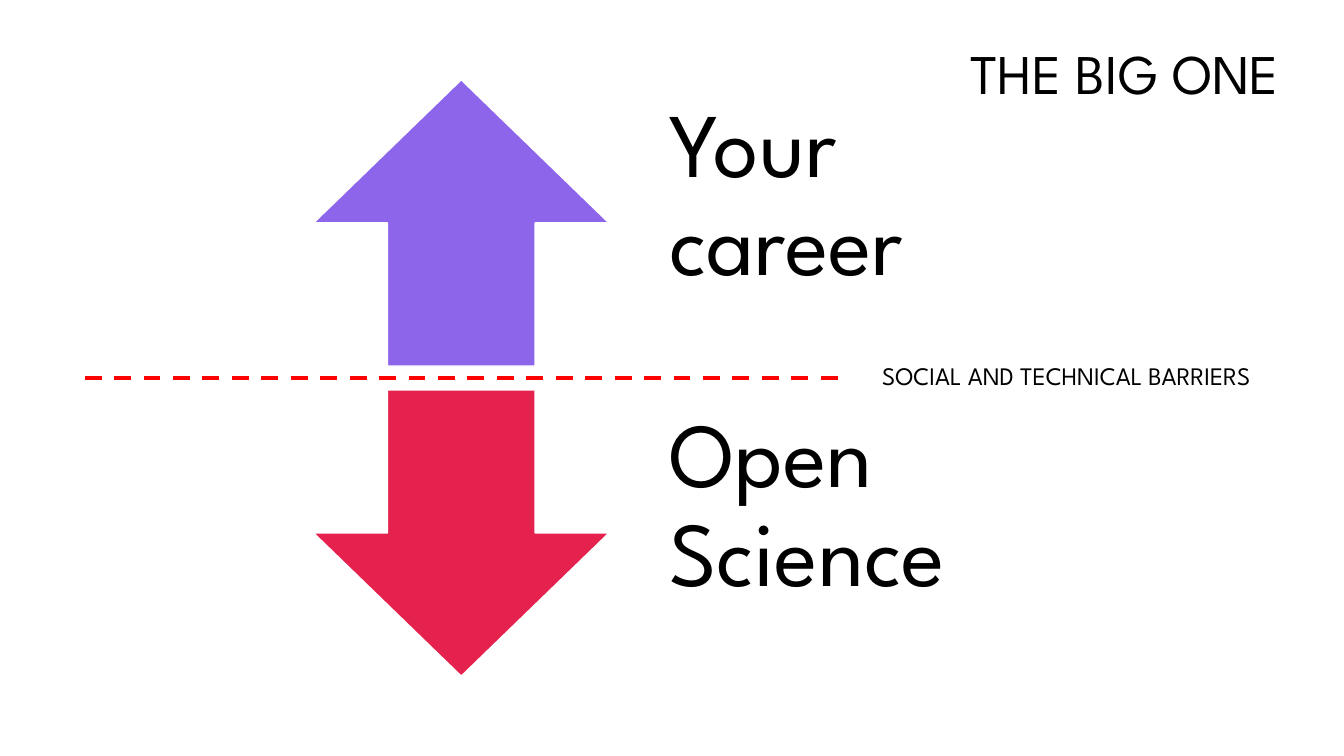
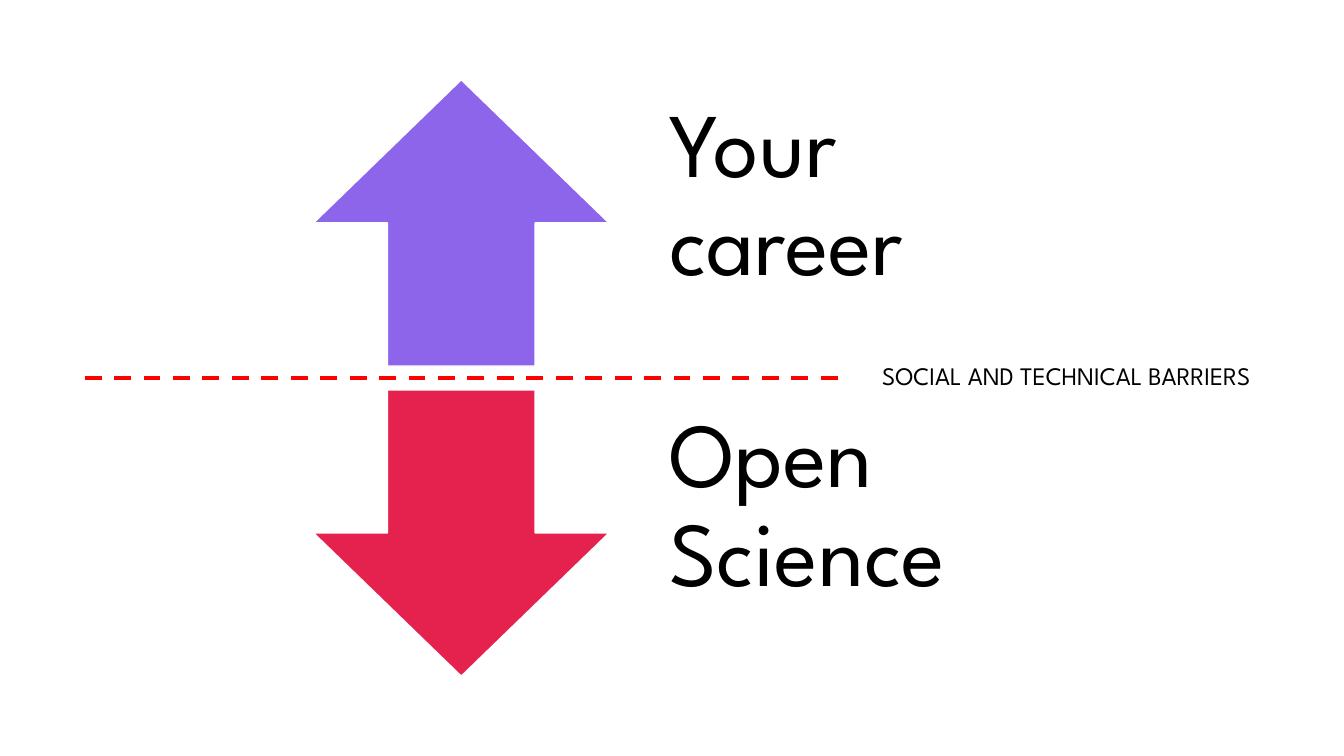
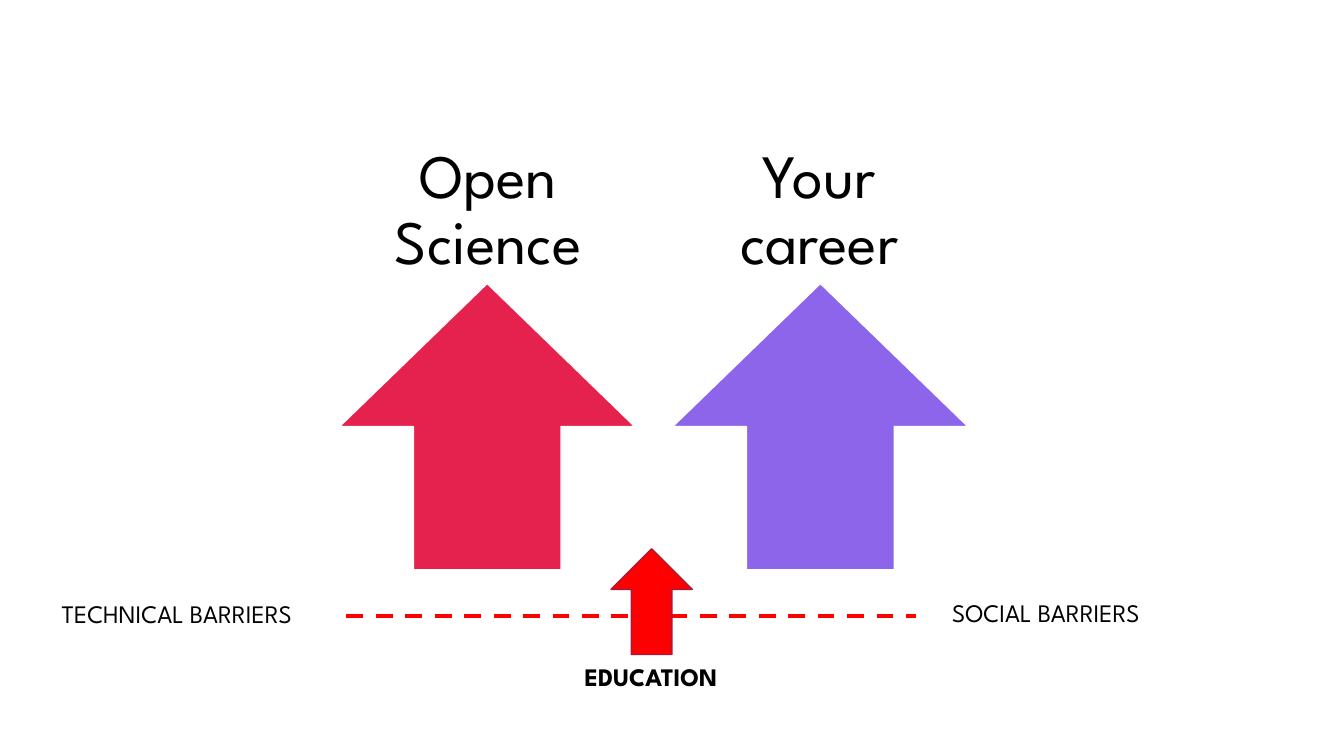
from pptx import Presentation
from pptx.dml.color import RGBColor
from pptx.enum.dml import MSO_LINE
from pptx.enum.shapes import MSO_CONNECTOR, MSO_SHAPE
from pptx.enum.text import MSO_ANCHOR, MSO_AUTO_SIZE, PP_ALIGN
from pptx.oxml.ns import qn
from pptx.util import Pt

UP, DOWN = MSO_SHAPE.UP_ARROW, MSO_SHAPE.DOWN_ARROW
STRAIGHT = MSO_CONNECTOR.STRAIGHT
DASH = MSO_LINE.DASH
LEFT, CENTER, RIGHT = PP_ALIGN.LEFT, PP_ALIGN.CENTER, PP_ALIGN.RIGHT
TOP, MIDDLE = MSO_ANCHOR.TOP, MSO_ANCHOR.MIDDLE
NO_AUTOFIT = MSO_AUTO_SIZE.NONE

# Shared style, lengths in points
FONT = "League Spartan"
BLACK = RGBColor(0x00, 0x00, 0x00)
WHITE = RGBColor(0xFF, 0xFF, 0xFF)
PURPLE = RGBColor(0x8D, 0x65, 0xEA)
CRIMSON = RGBColor(0xE5, 0x22, 0x4E)
DARK_CRIMSON = RGBColor(0xA9, 0x19, 0x3A)
RED = RGBColor(0xFF, 0x00, 0x00)
SLIDE_W, SLIDE_H = 960, 540
ARROW_W, ARROW_H = 211, 204.5
TITLE_ONLY, BLANK = 5, 6


def write(frame, text, size, align=LEFT, spacing=0.9, bold=False):
    frame.text = text
    frame.word_wrap = True
    frame.auto_size = NO_AUTOFIT
    paragraph = frame.paragraphs[0]
    paragraph.alignment = align
    paragraph.line_spacing = spacing
    font = paragraph.runs[0].font
    font.name, font.size, font.bold = FONT, Pt(size), bold
    font.color.rgb = BLACK


def add_title(slide, text):
    title = slide.shapes.title
    title.left, title.top = Pt(242.5), Pt(3.5)
    title.width, title.height = Pt(678.5), Pt(101.5)
    title.text_frame.vertical_anchor = MIDDLE
    write(title.text_frame, text, 40, RIGHT)


def add_arrow(slide, direction, left, top, fill,
              width=ARROW_W, height=ARROW_H, outline=WHITE):
    arrow = slide.shapes.add_shape(
        direction, Pt(left), Pt(top), Pt(width), Pt(height))
    arrow.shadow.inherit = False
    arrow.fill.solid()
    arrow.fill.fore_color.rgb = fill
    arrow.line.color.rgb = outline
    arrow.line.width = Pt(1)


def add_arrow_name(slide, text, left, top, width, size, inset, align=LEFT):
    """Large text beside or above an arrow, as tall as the arrow."""
    box = slide.shapes.add_textbox(Pt(left), Pt(top), Pt(width), Pt(ARROW_H))
    frame = box.text_frame
    frame.margin_left = frame.margin_right = frame.margin_bottom = Pt(inset)
    frame.margin_top = 0
    frame.vertical_anchor = MIDDLE
    write(frame, text, size, align)


def add_label(slide, text, left, top, width, spacing=0.9, bold=False):
    box = slide.shapes.add_textbox(Pt(left), Pt(top), Pt(width), Pt(26.5))
    box.text_frame.vertical_anchor = TOP
    write(box.text_frame, text, 18, LEFT, spacing, bold)


def add_barrier(slide, start, end, y):
    barrier = slide.shapes.add_connector(
        STRAIGHT, Pt(start), Pt(y), Pt(end), Pt(y))
    barrier.line.color.rgb = RED
    barrier.line.width = Pt(3)
    barrier.line.dash_style = DASH
    properties = barrier.element.spPr
    properties.append(properties.makeelement(qn("a:effectLst"), {}))


def build_opposed(slide):
    """Career and open science pulling apart across the barrier."""
    middle, gap = SLIDE_H / 2, 8.5
    rows = [
        ("Your career", UP, PURPLE, middle - gap - ARROW_H),
        ("Open Science", DOWN, CRIMSON, middle + gap),
    ]
    for name, direction, fill, top in rows:
        add_arrow(slide, direction, 224, top, fill)
        add_arrow_name(slide, name, 441.5, top, 358.5, 65, 36.5)
    add_barrier(slide, 60.5, 607, middle)
    add_label(slide, "SOCIAL AND TECHNICAL BARRIERS", 623, 256.5, 314.5)


def build_aligned(slide):
    """Both arrows rising, with education breaking through the barrier."""
    columns = [
        ("Your career", PURPLE, 480.5, 484.5, 201.5),
        ("Open Science", CRIMSON, 242.5, 236, 225.5),
    ]
    for name, fill, arrow_left, name_left, name_width in columns:
        add_arrow(slide, UP, arrow_left, 202.5, fill)
        add_arrow_name(slide, name, name_left, 61, name_width, 44, 24.5, CENTER)
    add_barrier(slide, 247.5, 654.5, 440)
    add_label(slide, "SOCIAL BARRIERS", 673, 425.5, 165)
    add_label(slide, "EDUCATION", 410.5, 468.5, 117.5, spacing=1.0, bold=True)
    add_arrow(slide, UP, 436.5, 392, RED, 58, 75.5, DARK_CRIMSON)
    add_label(slide, "TECHNICAL BARRIERS", 37, 426, 198.5)


def main():
    deck = Presentation()
    deck.slide_width, deck.slide_height = Pt(SLIDE_W), Pt(SLIDE_H)
    layouts = deck.slide_layouts

    # Opposed arrows, with and without the title
    titled = deck.slides.add_slide(layouts[TITLE_ONLY])
    build_opposed(titled)
    add_title(titled, "THE BIG ONE")
    build_opposed(deck.slides.add_slide(layouts[BLANK]))

    # Aligned arrows
    build_aligned(deck.slides.add_slide(layouts[BLANK]))
    deck.save("out.pptx")


if __name__ == "__main__":
    main()
